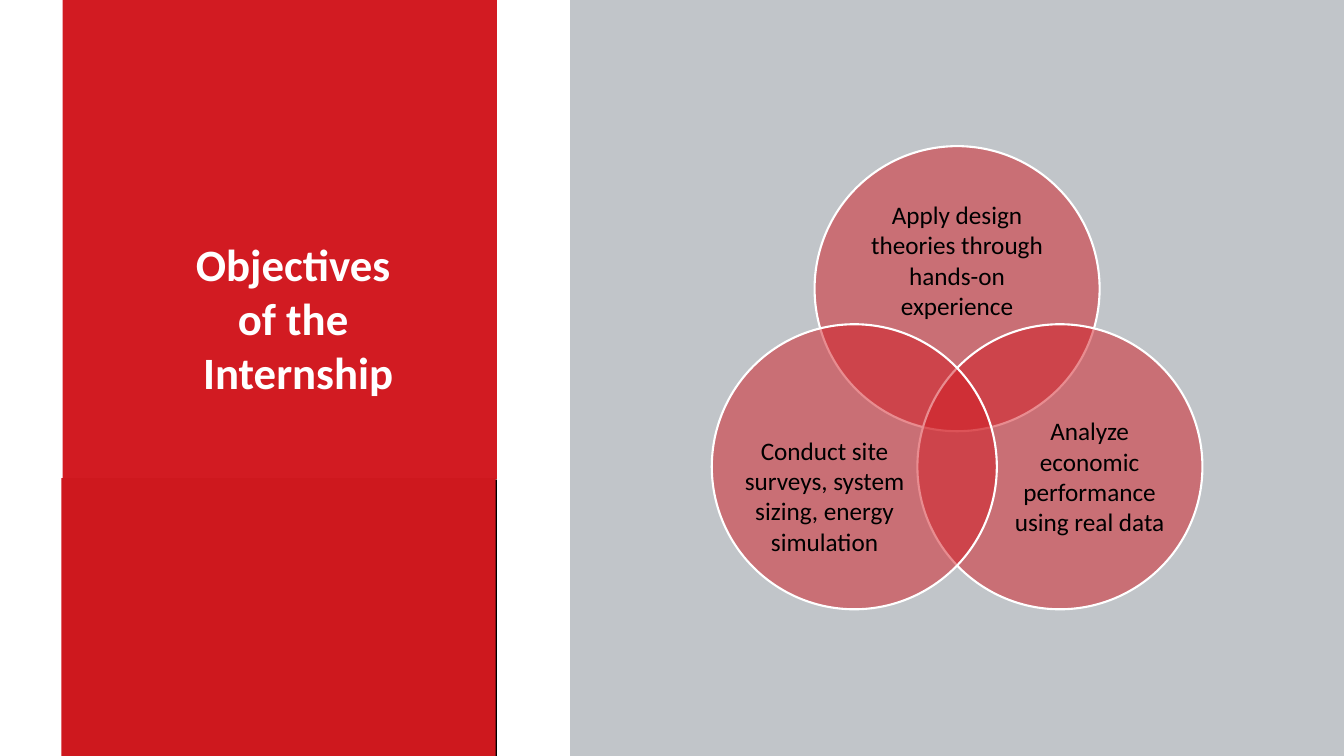
import math
from dataclasses import dataclass

from lxml import etree
from pptx import Presentation
from pptx.dml.color import RGBColor
from pptx.enum import shapes, text
from pptx.oxml import ns
from pptx.util import Pt


@dataclass(frozen=True)
class Theme:
    font: str = "Calibri"
    title_size: int = 32
    label_size: int = 18
    outline: float = 1.5
    red: str = "D21B22"
    deep_red: str = "CE181E"
    grey: str = "C1C5C9"
    black: str = "000000"
    white: str = "FFFFFF"


THEME = Theme()
WIDTH, HEIGHT = 960, 540
TITLE_LINES = ["Objectives ", "of the ", "Internship"]

# Angle from the centre, label, text insets (left, top, right, bottom)
OBJECTIVES = [
    (-90, "Apply design theories through hands-on experience", (27.4, 35, 27.4, 76)),
    (30, "Analyze economic performance using real data", (62, 52.5, 19.5, 39)),
    (150, "Conduct site surveys, system sizing, energy simulation", (19.5, 80.5, 62, 39)),
]


def apply_format(target, values):
    for name, value in values.items():
        setattr(target, name, value)


def add_filled(container, kind, box, color):
    shape = container.add_shape(kind, *map(Pt, box))
    shape.shadow.inherit = False
    shape.fill.solid()
    shape.fill.fore_color.rgb = RGBColor.from_string(color)
    shape.line.fill.background()
    return shape


def write_centred(frame, lines, size, color, bold, insets):
    sides = ("margin_left", "margin_top", "margin_right", "margin_bottom")
    apply_format(frame, {
        "word_wrap": True,
        "auto_size": text.MSO_AUTO_SIZE.NONE,
        "vertical_anchor": text.MSO_ANCHOR.MIDDLE,
        **dict(zip(sides, map(Pt, insets))),
    })
    frame.text = "\n".join(lines)
    for paragraph in frame.paragraphs:
        paragraph.alignment = text.PP_ALIGN.CENTER
        apply_format(paragraph.font, {"name": THEME.font, "size": Pt(size), "bold": bold})
        paragraph.font.color.rgb = RGBColor.from_string(color)


def add_title_panel(slide, box):
    left, top, width, height = box
    upper = 342.5
    rectangle = shapes.MSO_SHAPE.RECTANGLE
    # Red block above, black block below
    add_filled(slide.shapes, rectangle, (left, top, width, upper), THEME.red)
    add_filled(slide.shapes, rectangle, (left, top + upper, width, height - upper), THEME.black)

    # Title, raised above the panel
    title = slide.shapes.title
    places = (left + 70, top + 165, 196.5, 124)
    apply_format(title, dict(zip(("left", "top", "width", "height"), map(Pt, places))))
    write_centred(title.text_frame, TITLE_LINES, THEME.title_size, THEME.white, True, (7.2, 3.6, 7.2, 3.6))
    title.element.getparent().append(title.element)

    # Darker cover, set slightly to the left
    cover = (left - 1, top + upper - 1, width, height - upper + 1)
    add_filled(slide.shapes, rectangle, cover, THEME.deep_red)


def add_venn_panel(slide, box):
    left, top, width, height = box
    add_filled(slide.shapes, shapes.MSO_SHAPE.RECTANGLE, box, THEME.grey)

    # Three translucent circles on the corners of a triangle
    diameter, reach = 203.6, 84.8
    centre_x, centre_y = left + width / 2, top + height / 2 + 21
    oval_inset = diameter / 2 * (1 - math.sqrt(0.5))
    group = slide.shapes.add_group_shape()
    for angle, label, insets in OBJECTIVES:
        x = centre_x + reach * math.cos(math.radians(angle)) - diameter / 2
        y = centre_y + reach * math.sin(math.radians(angle)) - diameter / 2
        circle = add_filled(group.shapes, shapes.MSO_SHAPE.OVAL, (x, y, diameter, diameter), THEME.red)
        color = circle.element.spPr.find(ns.qn("a:solidFill"))[0]
        etree.SubElement(color, ns.qn("a:alpha"), val="50000")
        circle.line.color.rgb = RGBColor.from_string(THEME.white)
        circle.line.width = Pt(THEME.outline)
        # An oval already insets its text, so only the difference is set
        margins = [inset - oval_inset for inset in insets]
        write_centred(circle.text_frame, [label], THEME.label_size, THEME.black, False, margins)


def main():
    presentation = Presentation()
    apply_format(presentation, {"slide_width": Pt(WIDTH), "slide_height": Pt(HEIGHT)})
    slide = presentation.slides.add_slide(presentation.slide_layouts.get_by_name("Title Only"))
    add_title_panel(slide, (44.8, 0, 310.2, HEIGHT))
    add_venn_panel(slide, (407.3, 0, WIDTH - 407.3, HEIGHT))
    presentation.save("out.pptx")


if __name__ == "__main__":
    main()
